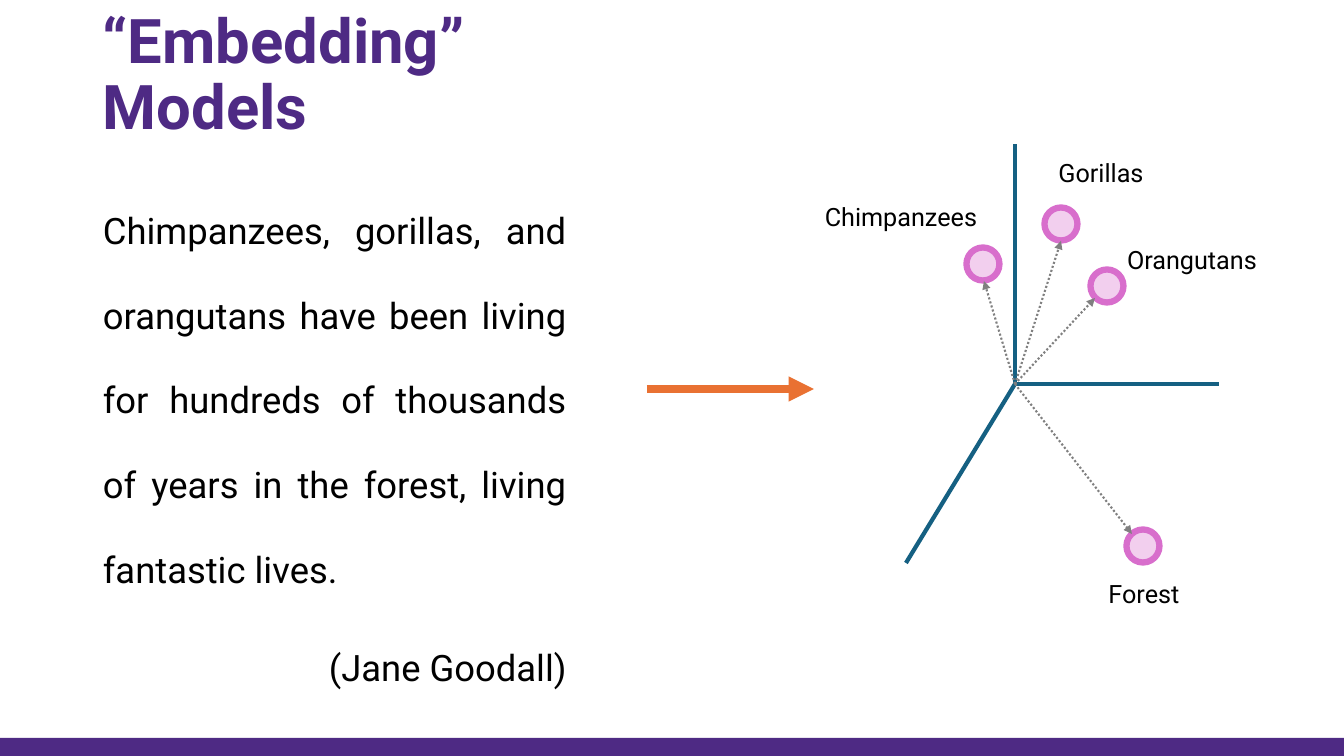
from lxml import etree
from pptx import Presentation
from pptx import util as u
from pptx.dml.color import RGBColor
from pptx.enum import dml, shapes, text
from pptx.oxml.ns import qn

WIDTH, HEIGHT = 1344, 756
EMU_PER_PX = u.Inches(7.5) / HEIGHT
FONT = "Roboto"
PURPLE, BLACK, GREY = "4E2A84", "000000", "808080"
TEAL, ORANGE = "156082", "E97132"
DOT_FILL, DOT_LINE = "F2CFEE", "D86ECC"
DOT, LABEL_WIDTH, LABEL_HEIGHT = 33, 190, 40

TITLE = "“Embedding” Models"
QUOTE = ("Chimpanzees, gorillas, and orangutans have been living for hundreds "
         "of thousands of years in the forest, living fantastic lives.")
AUTHOR = "(Jane Goodall)"

ORIGIN = (1015, 384)
AXIS_ENDS = [(1015, 144), (906, 563), (1219, 384)]
# word, dot centre, label centre, arrow tip
WORDS = [
    ("Chimpanzees", (983, 264), (901, 216), (984, 281)),
    ("Gorillas", (1061, 224), (1101, 172), (1061, 241)),
    ("Orangutans", (1107, 286), (1192, 259), (1095, 298)),
    ("Forest", (1143, 546), (1144, 593), (1132, 534)),
]


def px(*lengths):
    return [u.Emu(round(length * EMU_PER_PX)) for length in lengths]


def color(value):
    return RGBColor.from_string(value)


def centred(centre, width, height):
    """Box of the given size around a centre point."""
    return centre[0] - width / 2, centre[1] - height / 2, width, height


def add_text(slide, box, lines, size, ink, anchor, bold=False):
    """Text box holding (text, alignment, line spacing, space before) lines."""
    frame = slide.shapes.add_textbox(*px(*box)).text_frame
    frame.word_wrap = True
    frame.vertical_anchor = anchor
    for index, (words, alignment, spacing, before) in enumerate(lines):
        paragraph = frame.add_paragraph() if index else frame.paragraphs[0]
        paragraph.text = words
        paragraph.alignment = alignment
        paragraph.line_spacing = spacing
        paragraph.space_before = u.Pt(before)
        font = paragraph.runs[0].font
        font.name, font.size, font.bold = FONT, u.Pt(size), bold
        font.color.rgb = color(ink)


def add_line(slide, start, end, ink, width, dotted=False, arrow=False):
    connector = slide.shapes.add_connector(
        shapes.MSO_CONNECTOR.STRAIGHT, *px(*start, *end))
    connector.line.color.rgb = color(ink)
    connector.line.width = u.Pt(width)
    if dotted:
        connector.line.dash_style = dml.MSO_LINE.ROUND_DOT
    properties = connector._element.spPr
    if arrow:
        etree.SubElement(properties.find(qn("a:ln")), qn("a:tailEnd"), type="triangle")
    etree.SubElement(properties, qn("a:effectLst"))


def add_shape(slide, kind, box, fill, outline=None, width=0):
    shape = slide.shapes.add_shape(kind, *px(*box))
    shape.shadow.inherit = False
    shape.fill.solid()
    shape.fill.fore_color.rgb = color(fill)
    if outline:
        shape.line.color.rgb = color(outline)
        shape.line.width = u.Pt(width)
    else:
        shape.line.fill.background()


def main():
    presentation = Presentation()
    presentation.slide_width, presentation.slide_height = px(WIDTH, HEIGHT)
    slide = presentation.slides.add_slide(presentation.slide_layouts[6])
    align, anchor = text.PP_ALIGN, text.MSO_ANCHOR

    add_shape(slide, shapes.MSO_SHAPE.RECTANGLE, (0, 738, WIDTH, 18), PURPLE)
    add_text(slide, (93, 27, 580, 99), [(TITLE, align.LEFT, 0.9, 0)],
             44, PURPLE, anchor.MIDDLE, bold=True)
    add_text(slide, (93, 162, 484, 518),
             [(QUOTE, align.JUSTIFY, 1.94, 0), (AUTHOR, align.RIGHT, 1.94, 10)],
             26, BLACK, anchor.TOP)

    for end in AXIS_ENDS:
        add_line(slide, ORIGIN, end, TEAL, 3)
    for word, dot, label, tip in WORDS:
        add_shape(slide, shapes.MSO_SHAPE.OVAL, centred(dot, DOT, DOT),
                  DOT_FILL, DOT_LINE, 4.5)
        add_text(slide, centred(label, LABEL_WIDTH, LABEL_HEIGHT),
                 [(word, align.CENTER, 1.0, 0)], 18, BLACK, anchor.MIDDLE)
        add_line(slide, ORIGIN, tip, GREY, 1.5, dotted=True, arrow=True)
    add_line(slide, (647, 389), (814, 389), ORANGE, 6, arrow=True)

    presentation.save("out.pptx")


if __name__ == "__main__":
    main()
